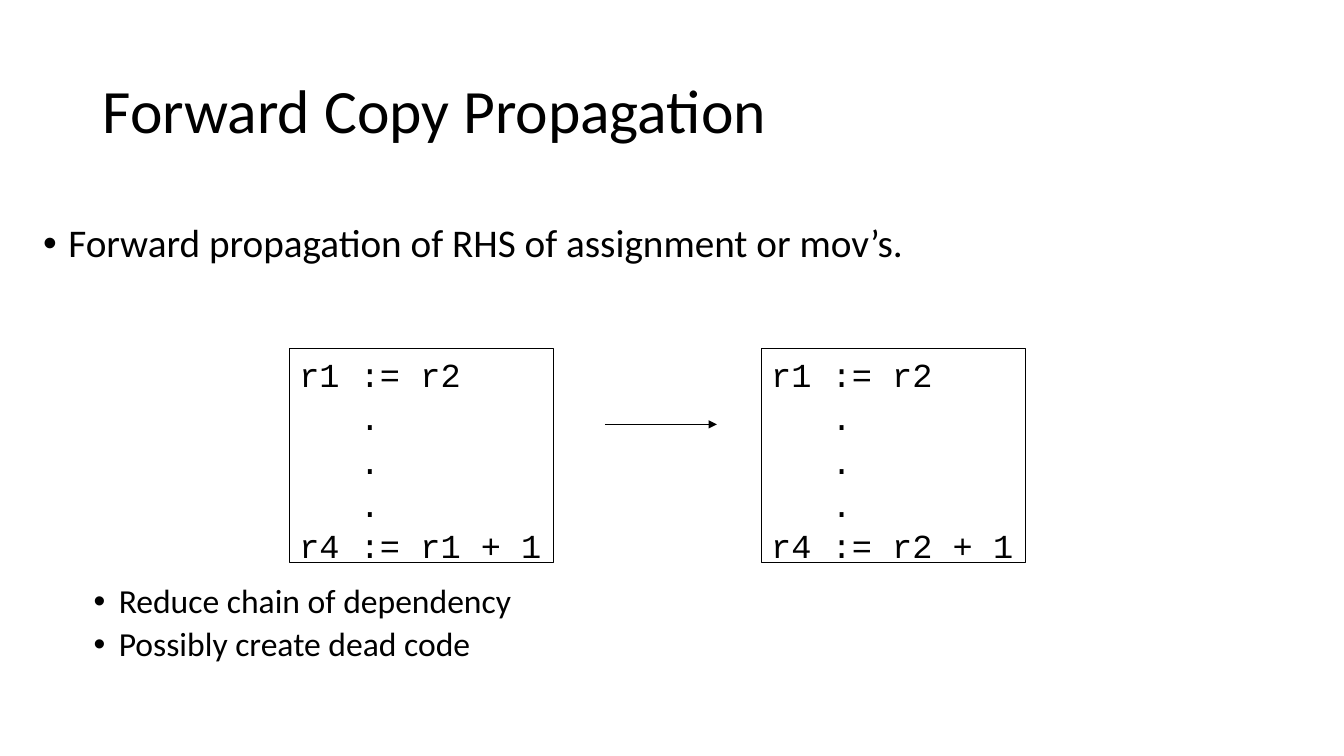
from dataclasses import dataclass

from lxml import etree
from pptx import Presentation
from pptx.dml.color import RGBColor
from pptx.enum.shapes import MSO_CONNECTOR, MSO_SHAPE
from pptx.enum.text import MSO_ANCHOR, PP_ALIGN
from pptx.oxml.ns import qn
from pptx.util import Inches, Pt

STRAIGHT = MSO_CONNECTOR.STRAIGHT
RECTANGLE = MSO_SHAPE.RECTANGLE
TOP, MIDDLE = MSO_ANCHOR.TOP, MSO_ANCHOR.MIDDLE
LEFT = PP_ALIGN.LEFT


@dataclass(frozen=True)
class Theme:
    ink: RGBColor = RGBColor(0, 0, 0)
    text_font: str = "Calibri"
    code_font: str = "Courier New"
    title_size: int = 44
    body_size: int = 28
    detail_size: int = 24
    code_size: int = 24
    line_width: float = 0.75
    text_spacing: float = 0.9
    ellipsis_spacing: float = 1.08


THEME = Theme()


def style_paragraph(paragraph, font_name, size, line_spacing):
    paragraph.alignment = LEFT
    paragraph.line_spacing = line_spacing
    for run in paragraph.runs:
        run.font.name = font_name
        run.font.size = Pt(size)
        run.font.color.rgb = THEME.ink


def add_text(slide, box, lines, size, anchor=TOP):
    left, top, width, height = map(Inches, box)
    text_frame = slide.shapes.add_textbox(left, top, width, height).text_frame
    text_frame.word_wrap = True
    text_frame.vertical_anchor = anchor
    text_frame.text = "\n".join(lines)
    for paragraph in text_frame.paragraphs:
        style_paragraph(paragraph, THEME.text_font, size, THEME.text_spacing)
    return text_frame


def add_bullets(slide, box, lines, size, indent, gap):
    text_frame = add_text(slide, box, lines, size)
    for index, paragraph in enumerate(text_frame.paragraphs):
        if index:
            paragraph.space_before = Pt(gap)
        properties = paragraph._p.get_or_add_pPr()
        properties.set("marL", str(Inches(indent)))
        properties.set("indent", str(Inches(-0.25)))
        etree.SubElement(properties, qn("a:buFont")).set("typeface", "Arial")
        etree.SubElement(properties, qn("a:buChar")).set("char", "•")


def add_code_box(slide, box, lines):
    shape = slide.shapes.add_shape(RECTANGLE, *map(Inches, box))
    shape.shadow.inherit = False
    shape.fill.background()
    shape.line.color.rgb = THEME.ink
    shape.line.width = Pt(THEME.line_width)
    text_frame = shape.text_frame
    text_frame.word_wrap = False
    text_frame.vertical_anchor = TOP
    text_frame.text = "\n".join(lines)
    for paragraph in text_frame.paragraphs:
        is_ellipsis = paragraph.text.strip() == "."
        spacing = THEME.ellipsis_spacing if is_ellipsis else 1.0
        style_paragraph(paragraph, THEME.code_font, THEME.code_size, spacing)


def add_arrow(slide, left, top, length):
    arrow = slide.shapes.add_connector(
        STRAIGHT, Inches(left), Inches(top), Inches(left + length), Inches(top))
    arrow.line.color.rgb = THEME.ink
    arrow.line.width = Pt(THEME.line_width)
    line = arrow.line._get_or_add_ln()
    etree.SubElement(line, qn("a:tailEnd")).set("type", "triangle")
    etree.SubElement(arrow._element.spPr, qn("a:effectLst"))


def add_rewrite(slide, box):
    """Code before and after propagation, with an arrow between."""
    left, top, width, height = box
    code_width = 2.62
    positions = (left, left + width - code_width)
    for code_left, source in zip(positions, ("r1", "r2")):
        lines = ["r1 := r2"] + ["   ."] * 3 + [f"r4 := {source} + 1"]
        add_code_box(slide, (code_left, top, code_width, height), lines)
    add_arrow(slide, left + 3.13, top + 0.75, 1.11)


def add_body(slide, box):
    left, top, width, height = box
    # Main point
    add_bullets(slide, (left, top, width, 0.55),
                ["Forward propagation of RHS of assignment or mov’s."],
                THEME.body_size, indent=0.25, gap=10)
    # Code example
    add_rewrite(slide, (left + 2.54, top + 1.29, 7.3, 2.12))
    # Effects
    add_bullets(slide, (left, top + 3.58, width, height - 3.58),
                ["Reduce chain of dependency", "Possibly create dead code"],
                THEME.detail_size, indent=0.75, gap=5)


def main():
    presentation = Presentation()
    presentation.slide_width = Inches(13.33)
    presentation.slide_height = Inches(7.5)
    slide = presentation.slides.add_slide(presentation.slide_layouts[6])
    add_text(slide, (0.92, 0.4, 11.5, 1.45), ["Forward Copy Propagation"],
             THEME.title_size, MIDDLE)
    add_body(slide, (0.33, 2.17, 12, 4.83))
    presentation.save("out.pptx")


if __name__ == "__main__":
    main()
